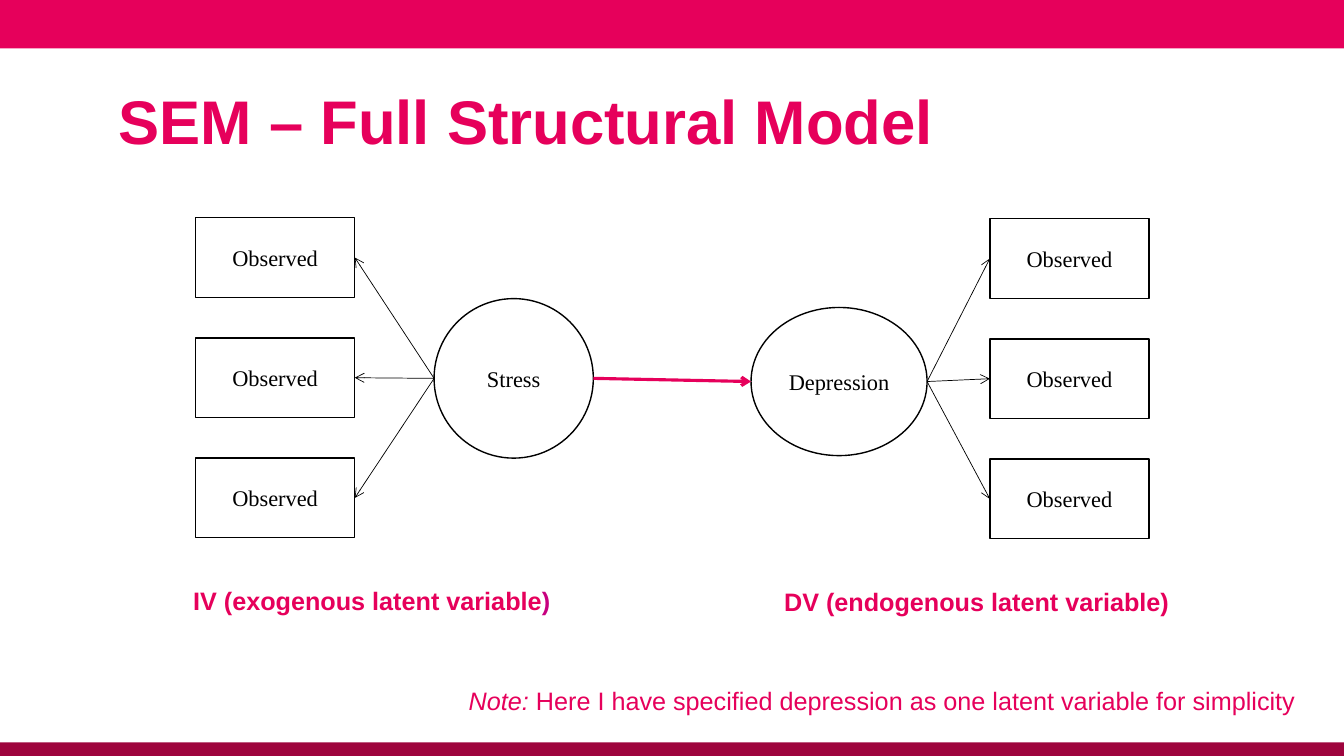
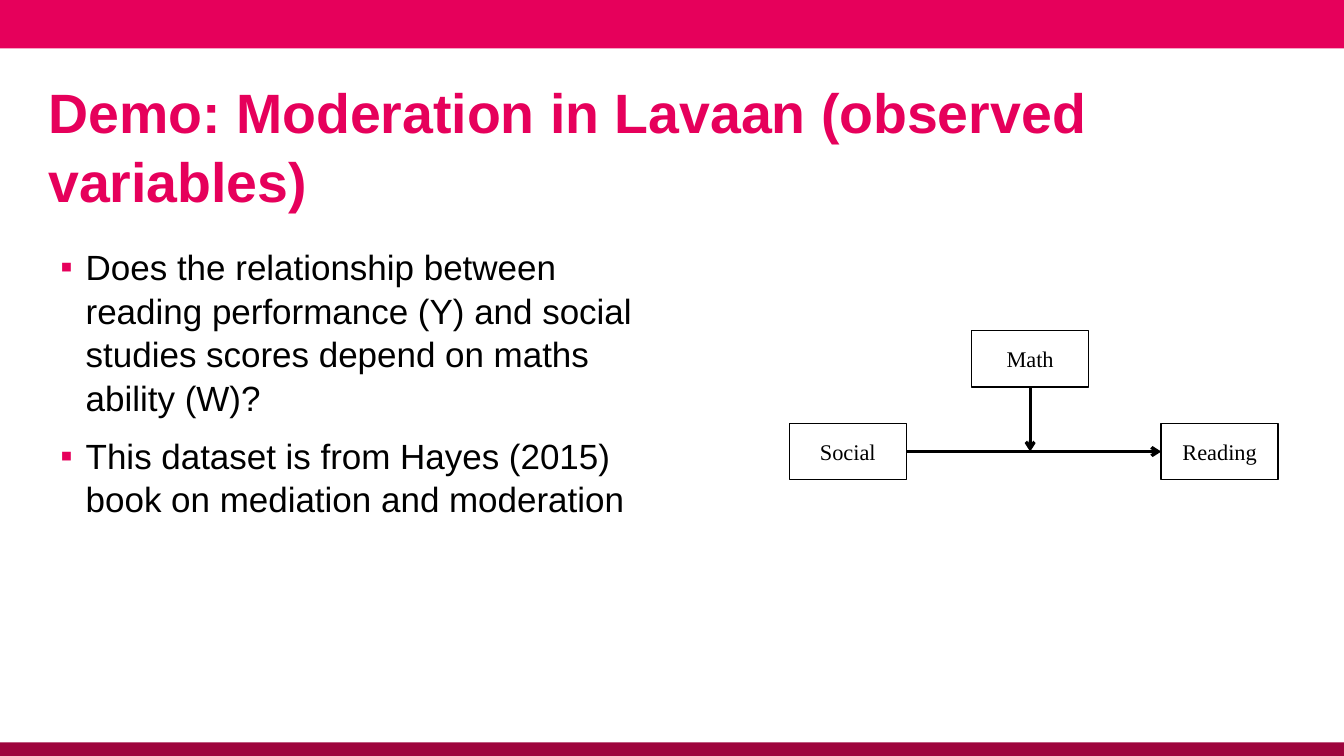
import dataclasses

import lxml.etree
import pptx
import pptx.dml.color
import pptx.enum.shapes
import pptx.enum.text
import pptx.oxml.ns
import pptx.util

ALIGN = pptx.enum.text.PP_ALIGN
ANCHOR = pptx.enum.text.MSO_ANCHOR
SHAPE = pptx.enum.shapes.MSO_SHAPE
LEFT, RIGHT, TOP, BOTTOM = (0, 0.5), (1, 0.5), (0.5, 0), (0.5, 1)


@dataclasses.dataclass(frozen=True)
class Theme:
    width: float = 13.33
    height: float = 7.5
    pink: str = "E6005B"
    dark_pink: str = "9E043D"
    violet: str = "C7007F"
    black: str = "000000"
    sans: str = "Arial"
    serif: str = "Times New Roman"
    title_size: float = 44
    long_title_size: float = 39.6
    body_size: float = 25
    label_size: float = 18
    node_size: float = 16
    thin: float = 0.5
    outline: float = 1
    thick: float = 2.25
    text_inset: tuple = (0, 0.05, 0.1, 0.05)
    no_inset: tuple = (0, 0, 0, 0)


THEME = Theme()


def rgb(color):
    return pptx.dml.color.RGBColor.from_string(color)


def apply(target, **values):
    for name, value in values.items():
        setattr(target, name, value)


def area(left, top, width, height):
    """Turn percentages of the slide into lengths."""
    across, down = THEME.width / 100, THEME.height / 100
    lengths = (left * across, top * down, width * across, height * down)
    return [pptx.util.Inches(length) for length in lengths]


def add_element(parent, tag, **attributes):
    return lxml.etree.SubElement(parent, pptx.oxml.ns.qn(tag), **attributes)


def format_frame(frame, anchor, inset=None, wrap=True):
    apply(frame, word_wrap=wrap, vertical_anchor=anchor,
          auto_size=pptx.enum.text.MSO_AUTO_SIZE.NONE)
    if inset:
        sides = ("margin_left", "margin_top", "margin_right", "margin_bottom")
        apply(frame, **dict(zip(sides, map(pptx.util.Inches, inset))))


def add_span(para, text, size, color, font=THEME.sans, **style):
    span = para.add_run()
    span.text = text
    apply(span.font, name=font, size=pptx.util.Pt(size), **style)
    span.font.color.rgb = rgb(color)


def add_band(page, layout, top, height, color):
    band = page.shapes.add_shape(SHAPE.RECTANGLE, *area(0, top, 100, height))
    band.shadow.inherit = False
    band.fill.solid()
    band.fill.fore_color.rgb = rgb(color)
    band.line.fill.background()
    layout.shapes.element.insert(2, band.element)


def set_title(page, text, left, top, size):
    title = page.shapes.title
    sides = ("left", "top", "width", "height")
    apply(title, **dict(zip(sides, area(left, top, 92.7, 14.67))))
    format_frame(title.text_frame, ANCHOR.MIDDLE, THEME.text_inset)
    para = title.text_frame.paragraphs[0]
    apply(para, alignment=ALIGN.LEFT, line_spacing=1.04)
    add_span(para, text, size, THEME.pink, bold=True)


def add_node(page, text, place, kind=SHAPE.RECTANGLE):
    node = page.shapes.add_shape(kind, *area(*place))
    node.shadow.inherit = False
    node.fill.background()
    node.line.color.rgb = rgb(THEME.black)
    node.line.width = pptx.util.Pt(THEME.outline)
    format_frame(node.text_frame, ANCHOR.MIDDLE, wrap=False)
    para = node.text_frame.paragraphs[0]
    para.alignment = ALIGN.CENTER
    add_span(para, text, THEME.node_size, THEME.black, THEME.serif)
    return node


def edge_point(node, side):
    return (int(node.left + side[0] * node.width),
            int(node.top + side[1] * node.height))


def add_arrow(page, start, end, width, color=THEME.black):
    arrow = page.shapes.add_connector(
        pptx.enum.shapes.MSO_CONNECTOR.STRAIGHT, *start, *end)
    arrow.line.color.rgb = rgb(color)
    arrow.line.width = pptx.util.Pt(width)
    properties = arrow.element.spPr
    outline = properties.find(pptx.oxml.ns.qn("a:ln"))
    add_element(outline, "a:tailEnd", type="arrow")
    add_element(properties, "a:effectLst")


def add_label(page, place, spans, wrap=False):
    box = page.shapes.add_textbox(*area(*place))
    format_frame(box.text_frame, ANCHOR.BOTTOM, THEME.no_inset, wrap)
    para = box.text_frame.paragraphs[0]
    para.alignment = ALIGN.RIGHT
    for text, color, style in spans:
        add_span(para, text, THEME.label_size, color, **style)


def add_bullets(page, place, texts):
    box = page.shapes.add_textbox(*area(*place))
    frame = box.text_frame
    format_frame(frame, ANCHOR.TOP, THEME.text_inset)
    for index, text in enumerate(texts):
        para = frame.add_paragraph() if index else frame.paragraphs[0]
        properties = para._p.get_or_add_pPr()
        indent = pptx.util.Inches(0.25)
        properties.set("marL", str(indent))
        properties.set("indent", str(-indent))
        add_element(add_element(properties, "a:buClr"), "a:srgbClr", val=THEME.pink)
        add_element(properties, "a:buFont", typeface=THEME.sans)
        add_element(properties, "a:buChar", char="▪")
        apply(para, line_spacing=1.04, space_before=pptx.util.Pt(10 if index else 0))
        add_span(para, text, THEME.body_size, THEME.black)


def add_latent(page, name, place, observed_left, observed_top, sides):
    latent = add_node(page, name, place, SHAPE.OVAL)
    latent_side, observed_side = sides
    for row in range(3):
        observed = add_node(page, "Observed",
                            (observed_left, observed_top + 15.9 * row, 11.85, 10.53))
        add_arrow(page, edge_point(latent, latent_side),
                  edge_point(observed, observed_side), THEME.thin)
    return latent


def build_structural_model(page):
    set_title(page, "SEM – Full Structural Model", 8.85, 8.27, THEME.title_size)
    stress = add_latent(page, "Stress", (32.3, 39.5, 11.85, 21.1),
                        14.55, 28.8, (LEFT, RIGHT))
    depression = add_latent(page, "Depression", (55.88, 40.67, 13.1, 19.6),
                            73.65, 28.93, (RIGHT, LEFT))
    add_arrow(page, edge_point(stress, RIGHT), edge_point(depression, LEFT),
              THEME.thick, THEME.pink)
    bold = {"bold": True}
    add_label(page, (79.5, 68.27, 7.5, 13.33),
              [("DV (endogenous latent variable)", THEME.pink, bold)])
    add_label(page, (33.45, 68.13, 7.5, 13.33),
              [("IV (exogenous latent variable", THEME.pink, bold),
               (")", THEME.violet, bold)])
    note = " Here I have specified depression as one latent variable for simplicity"
    add_label(page, (31.5, 88.27, 64.88, 6.4),
              [("Note:", THEME.pink, {"italic": True}), (note, THEME.pink, {})],
              wrap=True)


def build_moderation(page):
    add_bullets(page, (4.5, 31.6, 46.35, 54.13), [
        "Does the relationship between reading performance (Y) and social "
        "studies scores depend on maths ability (W)?",
        "This dataset is from Hayes (2015) book on mediation and moderation",
    ])
    set_title(page, "Demo: Moderation in Lavaan (observed variables)",
              3.6, 11.73, THEME.long_title_size)
    social, reading, math_score = [
        add_node(page, name, (left, top, 8.7, 7.47))
        for name, left, top in (("Social", 58.73, 56), ("Reading", 86.4, 56),
                                ("Math", 72.3, 43.73))]
    start, end = edge_point(social, RIGHT), edge_point(reading, LEFT)
    add_arrow(page, start, end, THEME.thick)
    moderator = edge_point(math_score, BOTTOM)
    add_arrow(page, moderator, (moderator[0], start[1]), THEME.thick)


def main():
    deck = pptx.Presentation()
    apply(deck, slide_width=pptx.util.Inches(THEME.width),
          slide_height=pptx.util.Inches(THEME.height))
    layout = deck.slide_layouts.get_by_name("Title Only")
    pages = [deck.slides.add_slide(layout) for _ in range(2)]
    add_band(pages[0], layout, 0, 6.4, THEME.pink)
    add_band(pages[0], layout, 98.2, 1.8, THEME.dark_pink)
    build_structural_model(pages[0])
    build_moderation(pages[1])
    deck.save("out.pptx")


if __name__ == "__main__":
    main()
